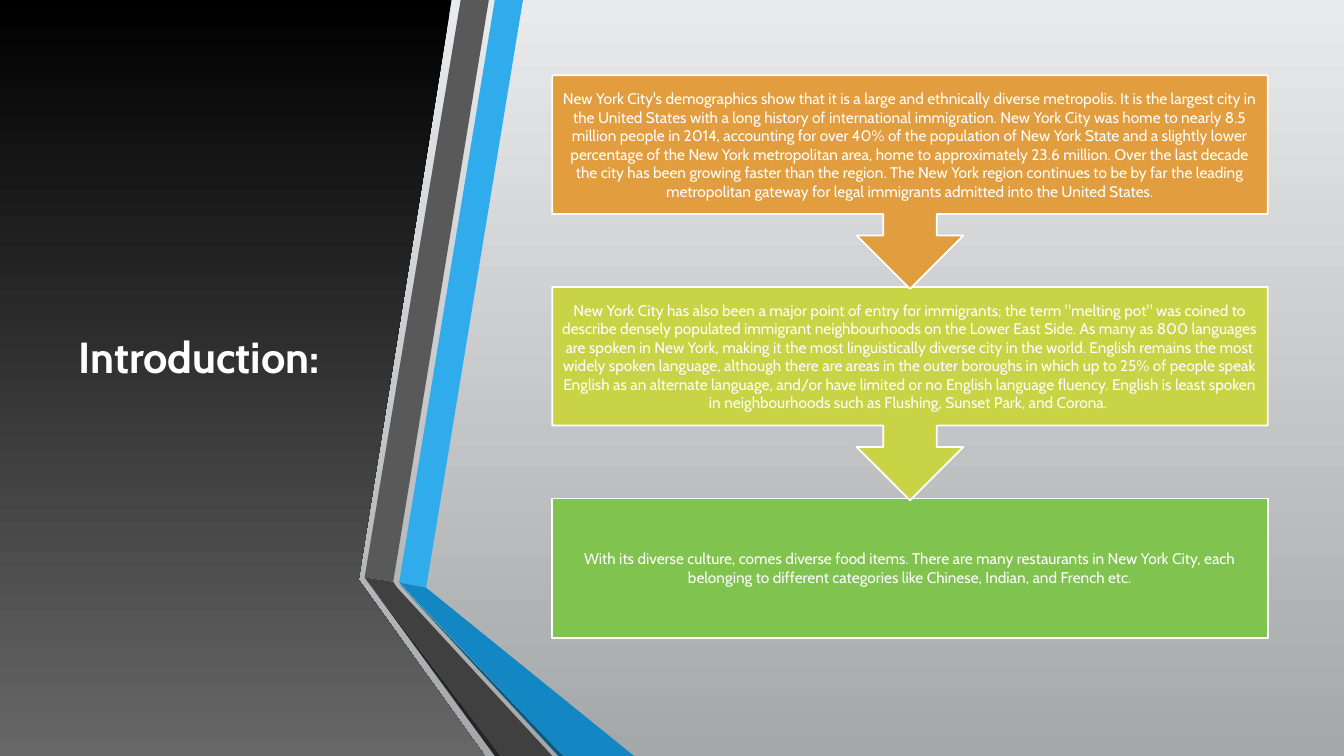
from dataclasses import dataclass

from pptx import Presentation
from pptx.dml.color import RGBColor
from pptx.enum.shapes import MSO_SHAPE
from pptx.enum.text import MSO_ANCHOR, MSO_AUTO_SIZE, PP_ALIGN
from pptx.util import Cm, Pt


@dataclass(frozen=True)
class Theme:
    font: str = "Cabin"
    title_size: float = 31
    body_size: float = 11
    outline_width: float = 1.25
    white: str = "FFFFFF"
    background: tuple = ("E9EAEB", "A5A8A9")
    panel: tuple = ("000000", "676767")
    blue: str = "30ACEC"
    blue_fold: str = "1287C3"
    blue_shade: str = "0C5A82"
    gray: str = "595959"
    gray_fold: str = "404040"
    gray_shade: str = "262626"
    orange: str = "E29D3E"
    lime: str = "C8D346"
    green: str = "80C34F"


def write_text(frame, text, *, font, size, color, bold=False):
    """Fill a frame with one centred, wrapped paragraph."""
    frame.word_wrap = True
    frame.auto_size = MSO_AUTO_SIZE.NONE
    frame.vertical_anchor = MSO_ANCHOR.MIDDLE
    paragraph = frame.paragraphs[0]
    paragraph.alignment = PP_ALIGN.CENTER
    run = paragraph.add_run()
    run.text = text
    run.font.name = font
    run.font.size = Pt(size)
    run.font.bold = bold
    run.font.color.rgb = RGBColor.from_string(color)


class SlideBuilder:
    """Draws themed elements on the current slide."""

    def __init__(self, slide, theme):
        self.slide = slide
        self.theme = theme

    def paint(self, fill, colors):
        """Apply a solid colour or a top-to-bottom gradient."""
        if isinstance(colors, str):
            fill.solid()
            fill.fore_color.rgb = RGBColor.from_string(colors)
            return
        fill.gradient()
        fill.gradient_angle = 270
        for stop, color in zip(fill.gradient_stops, colors):
            stop.color.rgb = RGBColor.from_string(color)

    def background(self):
        """Paint the slide background."""
        self.paint(self.slide.background.fill, self.theme.background)

    def polygon(self, shapes, points, colors):
        """Draw a closed outline from points in centimetres."""
        start, *rest = [(Cm(x), Cm(y)) for x, y in points]
        builder = shapes.build_freeform(*start)
        builder.add_line_segments(rest, close=True)
        shape = builder.convert_to_shape()
        self.paint(shape.fill, colors)
        shape.line.fill.background()
        shape.shadow.inherit = False

    def ribbons(self, pieces):
        """Draw the folded ribbons as one group."""
        group = self.slide.shapes.add_group_shape()
        for colors, points in pieces:
            self.polygon(group.shapes, points, colors)

    def title(self, text, left, top, width, height):
        """Place the title in front of the panel."""
        title = self.slide.shapes.title
        title.left, title.top = Cm(left), Cm(top)
        title.width, title.height = Cm(width), Cm(height)
        write_text(title.text_frame, text, font=self.theme.font,
                   size=self.theme.title_size, color=self.theme.white, bold=True)
        self.slide.shapes._spTree.append(title._element)

    def step(self, kind, text, color, left, top, width, height):
        """Draw one outlined step with its text."""
        shape = self.slide.shapes.add_shape(
            kind, Cm(left), Cm(top), Cm(width), Cm(height))
        shape.shadow.inherit = False
        self.paint(shape.fill, color)
        shape.line.color.rgb = RGBColor.from_string(self.theme.white)
        shape.line.width = Pt(self.theme.outline_width)
        frame = shape.text_frame
        frame.margin_left = frame.margin_right = Cm(0.23)
        frame.margin_top = frame.margin_bottom = Cm(0.23)
        write_text(frame, text, font=self.theme.font,
                   size=self.theme.body_size, color=self.theme.white)


THEME = Theme()
SLIDE_WIDTH, SLIDE_HEIGHT = 33.87, 19.05
STEP_LEFT, STEP_TOP, STEP_WIDTH = 13.92, 1.9, 18.03
STEP_PITCH, BOX_HEIGHT, CALLOUT_HEIGHT = 5.33, 3.51, 5.38

PANEL = [(0, 0), (11.38, 0), (9.04, 14.61), (12.22, SLIDE_HEIGHT), (0, SLIDE_HEIGHT)]
RIBBONS = [
    (THEME.blue, [(10.06, 14.68), (10.74, 14.81), (13.18, 0), (12.47, 0)]),
    (THEME.gray, [(12.32, 0), (11.61, 0), (9.19, 14.55), (9.91, 14.66)]),
    (THEME.gray_shade, [(9.19, 14.55), (12.47, SLIDE_HEIGHT), (12.62, SLIDE_HEIGHT)]),
    (THEME.blue_shade, [(10.06, 14.71), (14.07, SLIDE_HEIGHT), (14.2, SLIDE_HEIGHT)]),
    (THEME.blue_fold, [(10.06, 14.68), (14.2, SLIDE_HEIGHT),
                       (15.98, SLIDE_HEIGHT), (10.74, 14.81)]),
    (THEME.gray_fold, [(13.92, SLIDE_HEIGHT), (10.01, 14.81), (9.91, 14.66),
                       (9.19, 14.55), (12.62, SLIDE_HEIGHT)]),
]
STEPS = [
    (THEME.orange,
     "New York City's demographics show that it is a large and ethnically diverse "
     "metropolis. It is the largest city in the United States with a long history of "
     "international immigration. New York City was home to nearly 8.5 million people in "
     "2014, accounting for over 40% of the population of New York State and a slightly "
     "lower percentage of the New York metropolitan area, home to approximately 23.6 "
     "million. Over the last decade the city has been growing faster than the region. "
     "The New York region continues to be by far the leading metropolitan gateway for "
     "legal immigrants admitted into the United States."),
    (THEME.lime,
     "New York City has also been a major point of entry for immigrants; the term "
     "\"melting pot\" was coined to describe densely populated immigrant neighbourhoods "
     "on the Lower East Side. As many as 800 languages are spoken in New York, making it "
     "the most linguistically diverse city in the world. English remains the most widely "
     "spoken language, although there are areas in the outer boroughs in which up to 25% "
     "of people speak English as an alternate language, and/or have limited or no English "
     "language fluency. English is least spoken in neighbourhoods such as Flushing, "
     "Sunset Park, and Corona. "),
    (THEME.green,
     "With its diverse culture, comes diverse food items. There are many restaurants in "
     "New York City, each belonging to different categories like Chinese, Indian, and "
     "French etc."),
]


def main():
    """Build and save the slide."""
    presentation = Presentation()
    presentation.slide_width = Cm(SLIDE_WIDTH)
    presentation.slide_height = Cm(SLIDE_HEIGHT)
    slide = presentation.slides.add_slide(presentation.slide_layouts[5])
    builder = SlideBuilder(slide, THEME)
    builder.background()
    builder.polygon(slide.shapes, PANEL, THEME.panel)
    builder.title("Introduction: ", 1.47, 1.9, 7.34, 14.17)
    builder.ribbons(RIBBONS)
    last = len(STEPS) - 1
    for index, (color, text) in reversed(list(enumerate(STEPS))):
        kind, height = (
            (MSO_SHAPE.RECTANGLE, BOX_HEIGHT) if index == last
            else (MSO_SHAPE.DOWN_ARROW_CALLOUT, CALLOUT_HEIGHT))
        builder.step(kind, text, color, STEP_LEFT,
                     STEP_TOP + index * STEP_PITCH, STEP_WIDTH, height)
    presentation.save("out.pptx")


if __name__ == "__main__":
    main()
